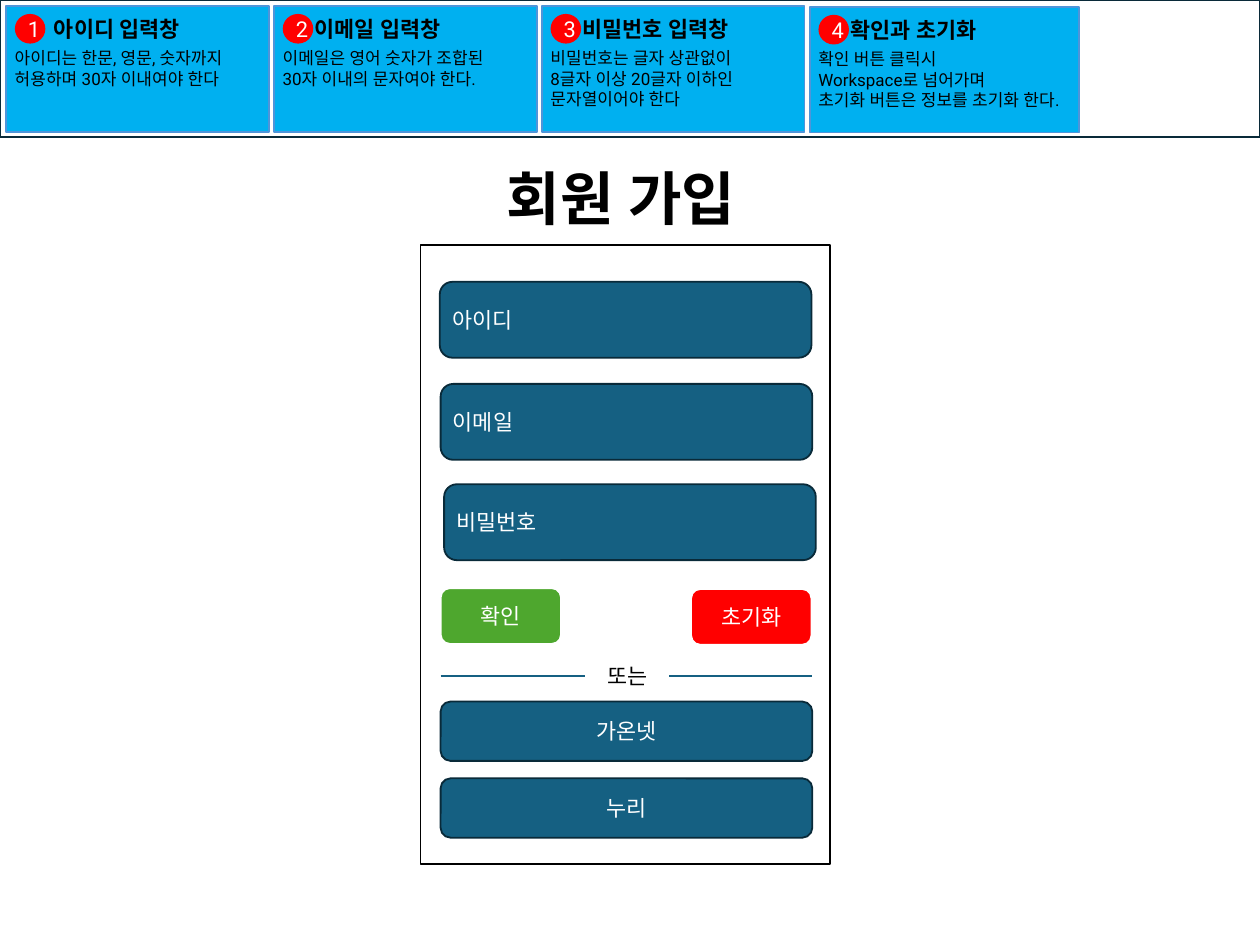
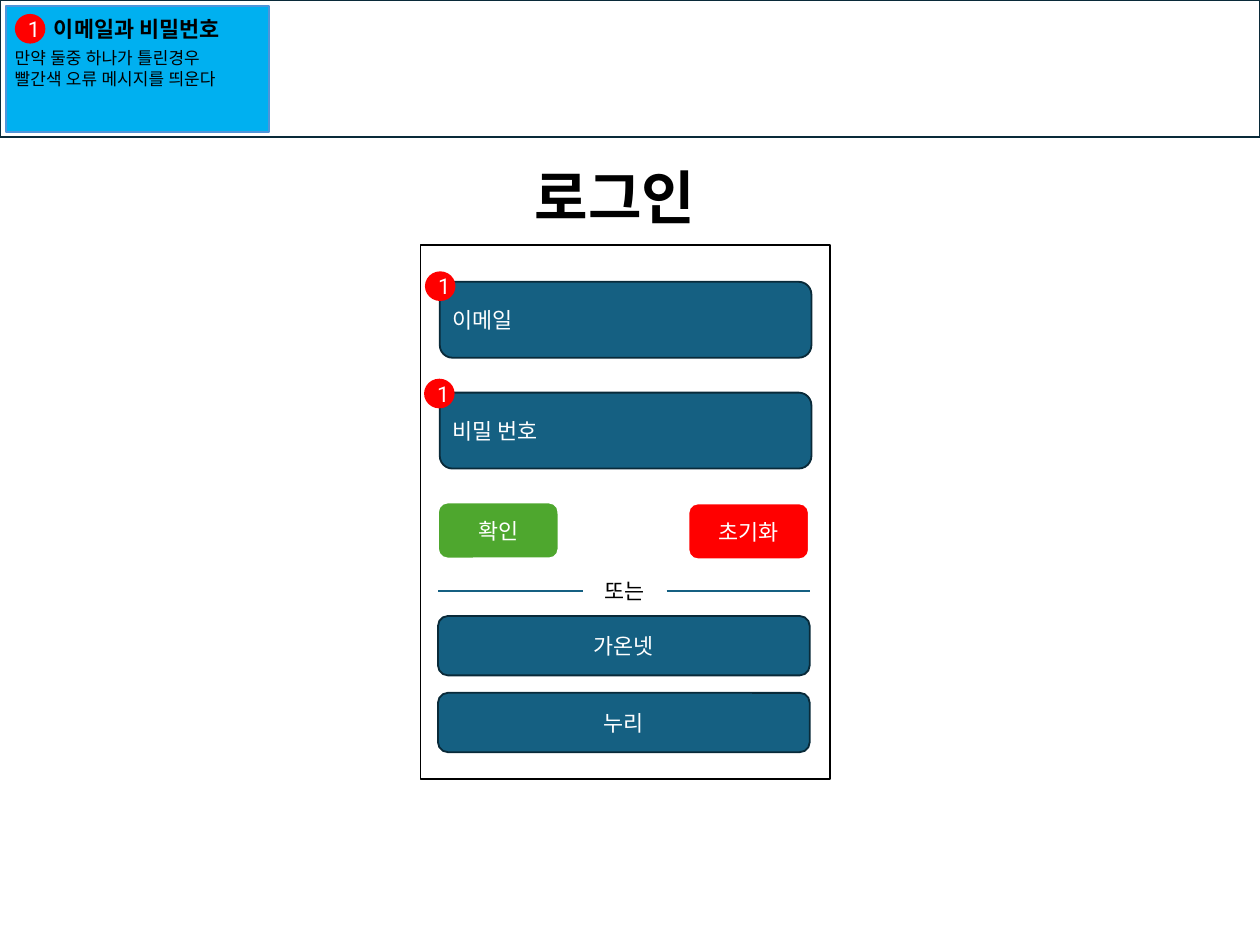
import pptx
import pptx.util
import pptx.dml.color
import pptx.enum.shapes
import pptx.enum.text
import pptx.oxml.ns
import lxml.etree

Inches = pptx.util.Inches
Pt = pptx.util.Pt
SHAPES = pptx.enum.shapes.MSO_SHAPE
ALIGN = pptx.enum.text.PP_ALIGN
FONT = "Roboto"
COLORS = {
    "white": "FFFFFF", "black": "000000", "navy": "092A39", "teal": "156082",
    "card": "00B0F0", "card_edge": "4E95D9", "red": "FF0000", "green": "4EA72E",
}
CARD_STEP = 3.07
FIELD_SIZE = (4.26, 0.87)
BUTTON_SIZE = (1.38, 0.64)
SOCIAL_SIZE = (4.26, 0.68)
BADGE_SIZE = (0.35, 0.34)

SCREENS = [
    {
        "title": "회원 가입", "title_box": (5.71, 1.81, 3.03, 0.91),
        "panel_height": 7.09, "form_left": 5.05, "form_top": 6.74,
        "cards": [
            ("아이디 입력창", 0.45, 0.07, 3.01, 2.83,
             "아이디는 한문, 영문, 숫자까지\n허용하며 30자 이내여야 한다"),
            ("이메일 입력창", 0.37, 0.07, 3.01, 2.72,
             "이메일은 영어 숫자가 조합된\n30자 이내의 문자여야 한다."),
            ("비밀번호 입력창", 0.37, 0.07, 3.01, 2.44,
             "비밀번호는 글자 상관없이\n8글자 이상 20글자 이하인\n문자열이어야 한다"),
            ("확인과 초기화", 0.37, 0.08, 3.09, 3.17,
             "확인 버튼 클릭시\nWorkspace로 넘어가며\n초기화 버튼은 정보를 초기화 한다."),
        ],
        "fields": [("아이디", 5.04, 3.23), ("이메일", 5.05, 4.4), ("비밀번호", 5.09, 5.55)],
        "badges": [],
    },
    {
        "title": "로그인", "title_box": (6.03, 1.8, 2.22, 0.91),
        "panel_height": 6.12, "form_left": 5.02, "form_top": 5.76,
        "cards": [
            ("이메일과 비밀번호", 0.45, 0.07, 3.01, 2.68,
             "만약 둘중 하나가 틀린경우\n빨간색 오류 메시지를 띄운다"),
        ],
        "fields": [("이메일", 5.04, 3.23), ("비밀 번호", 5.04, 4.5)],
        "badges": [("1", 4.87, 3.11), ("1", 4.86, 4.34)],
    },
]


def add_text(page, text, place, size=18, bold=False, color="black", align=ALIGN.LEFT, box=None):
    if box is None:
        box = page.shapes.add_textbox(*[Inches(value) for value in place])
        box.text_frame.auto_size = pptx.enum.text.MSO_AUTO_SIZE.SHAPE_TO_FIT_TEXT
    else:
        box.text_frame.vertical_anchor = pptx.enum.text.MSO_ANCHOR.MIDDLE
    box.text_frame.word_wrap = True
    box.text_frame.text = text
    for para in box.text_frame.paragraphs:
        para.alignment = align
        for span in para.runs:
            span.font.size = Pt(size)
            span.font.bold = bold
            span.font.name = FONT
            span.font.color.rgb = pptx.dml.color.RGBColor.from_string(COLORS[color])
            east_asian = lxml.etree.SubElement(span.font._element, pptx.oxml.ns.qn("a:ea"))
            east_asian.set("typeface", FONT)


def add_box(page, kind, place, fill, line=None, weight=1.5, text=None, align=ALIGN.CENTER):
    box = page.shapes.add_shape(kind, *[Inches(value) for value in place])
    box.shadow.inherit = False
    box.fill.solid()
    box.fill.fore_color.rgb = pptx.dml.color.RGBColor.from_string(COLORS[fill])
    if line:
        box.line.color.rgb = pptx.dml.color.RGBColor.from_string(COLORS[line])
        box.line.width = Pt(weight)
    else:
        box.line.fill.background()
    if text:
        add_text(page, text, place, color="white", align=align, box=box)


deck = pptx.Presentation()
deck.slide_width = Inches(14.44)
deck.slide_height = Inches(10.83)

for screen in SCREENS:
    page = deck.slides.add_slide(deck.slide_layouts[6])
    add_box(page, SHAPES.RECTANGLE, (0, 0, 14.44, 1.57), "white", "navy", 2.25)

    for index, (heading, indent, top, width, body_width, body) in enumerate(screen["cards"]):
        left = 0.07 + index * CARD_STEP
        add_box(page, SHAPES.RECTANGLE, (left, top, width, 1.44), "card", "card_edge")
        add_box(page, SHAPES.OVAL, (left + 0.1, top + 0.09, *BADGE_SIZE), "red", text=str(index + 1))
        add_text(page, heading, (left + indent, top + 0.06, 2.27, 0.4), bold=True)
        body_height = 0.33 + 0.24 * body.count("\n")
        add_text(page, body, (left, top + 0.43, body_width, body_height), size=14)

    add_box(page, SHAPES.RECTANGLE, (4.82, 2.81, 4.69, screen["panel_height"]), "white", "black")
    add_text(page, screen["title"], screen["title_box"], size=48, bold=True)

    for label, left, top in screen["fields"]:
        add_box(page, SHAPES.ROUNDED_RECTANGLE, (left, top, *FIELD_SIZE), "teal", "navy",
                text=label, align=ALIGN.LEFT)

    left, top = screen["form_left"], screen["form_top"]
    for label, color, right, down in [("확인", "green", 0, 0), ("초기화", "red", 2.87, 0.01)]:
        add_box(page, SHAPES.ROUNDED_RECTANGLE, (left + right, top + down, *BUTTON_SIZE),
                color, "white", text=label)

    add_text(page, "또는", (left + 1.81, top + 0.81, 0.73, 0.4))
    for start, end in [(0, 1.66), (2.62, 4.26)]:
        divider = page.shapes.add_connector(
            pptx.enum.shapes.MSO_CONNECTOR.STRAIGHT,
            Inches(left + start), Inches(top + 1.01), Inches(left + end), Inches(top + 1.01))
        divider.line.color.rgb = pptx.dml.color.RGBColor.from_string(COLORS["teal"])
        divider.line.width = Pt(1.5)
        lxml.etree.SubElement(divider._element.spPr, pptx.oxml.ns.qn("a:effectLst"))

    for index, label in enumerate(["가온넷", "누리"]):
        add_box(page, SHAPES.ROUNDED_RECTANGLE, (left, top + 1.3 + index * 0.88, *SOCIAL_SIZE),
                "teal", "navy", text=label)

    for label, left, top in screen["badges"]:
        add_box(page, SHAPES.OVAL, (left, top, *BADGE_SIZE), "red", text=label)

deck.save("out.pptx")
